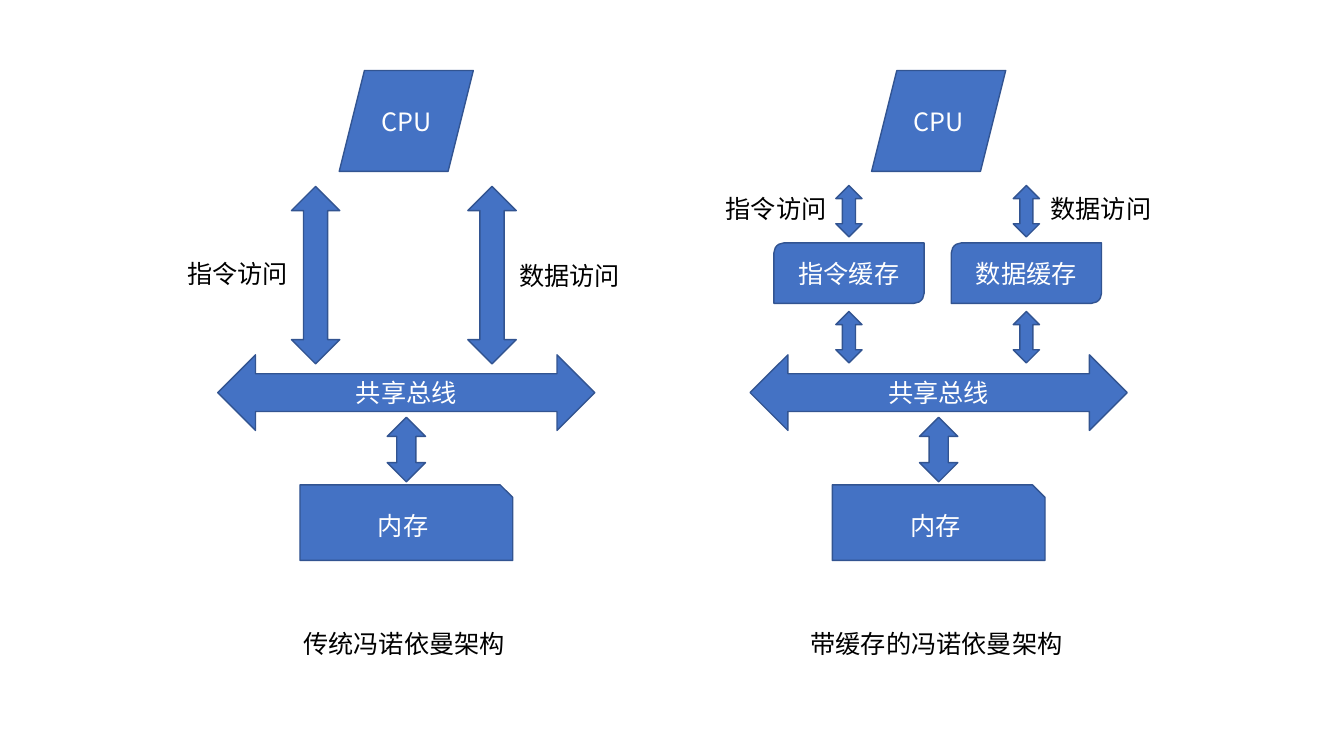
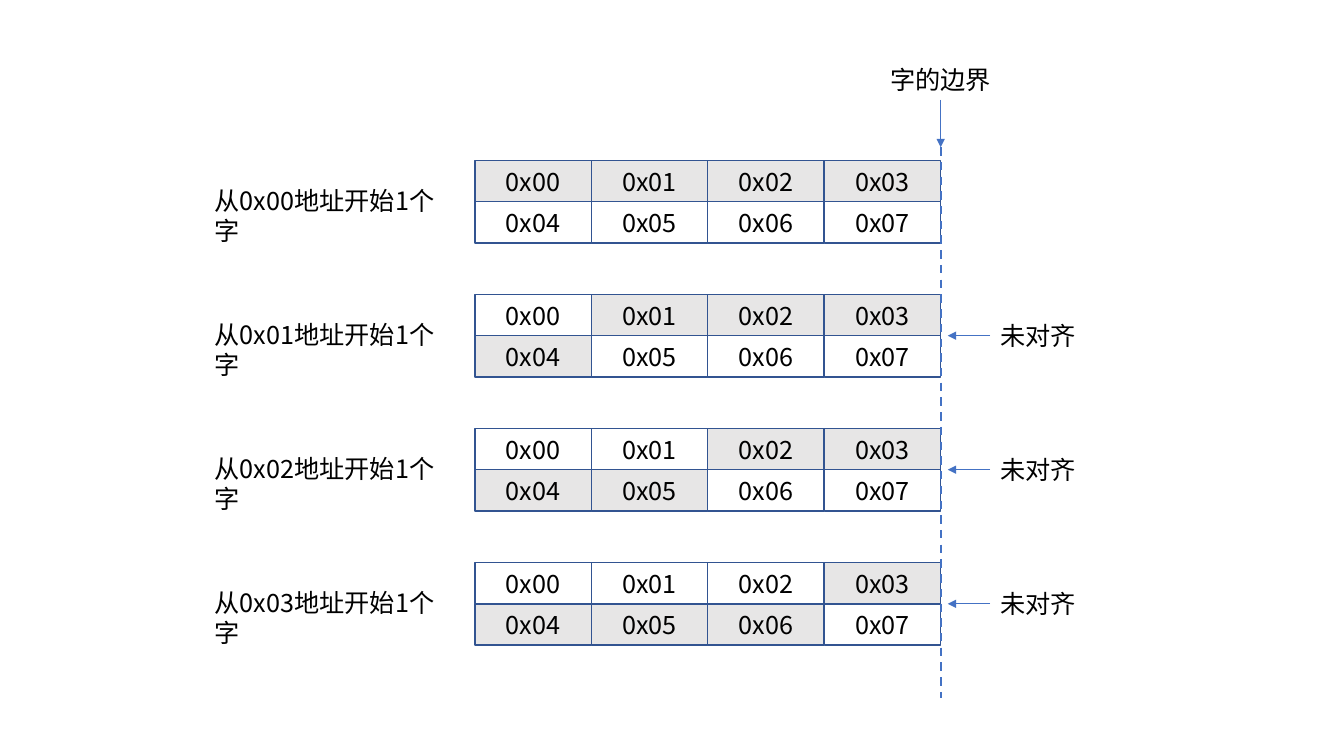
"""Build two slides: cached memory architecture and word alignment."""
from pptx import Presentation
from pptx import util as u
from pptx.dml import color as dml
from pptx.enum import dml as lines, shapes, text
from pptx.oxml import ns
from lxml import etree

SHAPE = shapes.MSO_SHAPE


def rgb(value):
    """Return the colour for a hex string."""
    return dml.RGBColor.from_string(value)


class Deck:
    """Holds the shared style and the current slide."""

    FONT, SIZE = "Noto Sans CJK SC", 18
    BLUE, EDGE, GREY = "4472C4", "325491", "E7E6E6"
    BLACK, WHITE = "000000", "FFFFFF"

    def __init__(self):
        """Start an empty widescreen presentation."""
        self.prs = Presentation()
        self.prs.slide_width = u.Inches(13.33)
        self.prs.slide_height = u.Inches(7.5)

    def new_slide(self):
        """Add a blank slide and make it current."""
        self.s = self.prs.slides.add_slide(self.prs.slide_layouts[6])

    def put_text(self, tf, words, color, align):
        """Put one formatted paragraph in a text frame."""
        tf.text = words
        p = tf.paragraphs[0]
        p.alignment = align
        r = p.runs[0]
        r.font.size, r.font.name = u.Pt(self.SIZE), self.FONT
        r.font.color.rgb = rgb(color)
        ea = etree.SubElement(r.font._element, ns.qn("a:ea"))
        ea.set("typeface", self.FONT)

    def shape(self, kind, x, y, w, h, words="", fill=BLUE, color=WHITE):
        """Add an outlined preset shape with centred text."""
        sp = self.s.shapes.add_shape(kind, *map(u.Inches, (x, y, w, h)))
        sp.shadow.inherit = False
        if fill:
            sp.fill.solid()
            sp.fill.fore_color.rgb = rgb(fill)
        else:
            sp.fill.background()
        sp.line.color.rgb = rgb(self.EDGE)
        sp.line.width = u.Pt(1)
        if words:
            sp.text_frame.vertical_anchor = text.MSO_ANCHOR.MIDDLE
            self.put_text(sp.text_frame, words, color, text.PP_ALIGN.CENTER)

    def centred(self, kind, cx, y, w, h, words=""):
        """Add a preset shape centred on a vertical axis."""
        self.shape(kind, cx - w / 2, y, w, h, words)

    def label(self, x, y, w, words, wrap=False):
        """Add a plain text label and return it."""
        sp = self.s.shapes.add_textbox(*map(u.Inches, (x, y, w, 0.4)))
        tf = sp.text_frame
        tf.word_wrap = wrap
        tf.auto_size = text.MSO_AUTO_SIZE.SHAPE_TO_FIT_TEXT
        self.put_text(tf, words, self.BLACK, text.PP_ALIGN.LEFT)
        return sp

    def line(self, x1, y1, x2, y2, width, dashed=False, arrow=False):
        """Add a straight line and return it."""
        sp = self.s.shapes.add_connector(
            shapes.MSO_CONNECTOR.STRAIGHT, *map(u.Inches, (x1, y1, x2, y2)))
        sp.line.color.rgb = rgb(self.BLUE)
        sp.line.width = u.Pt(width)
        if dashed:
            sp.line.dash_style = lines.MSO_LINE.DASH
        if arrow:
            tail = etree.SubElement(sp.get_or_add_ln(), ns.qn("a:tailEnd"))
            tail.set("type", "triangle")
        etree.SubElement(sp._element.spPr, ns.qn("a:effectLst"))
        return sp


def architecture(deck, cx, lanes, arrows, labels, caption):
    """Draw a CPU, a shared bus and memory on one axis."""
    deck.centred(SHAPE.PARALLELOGRAM, cx, 0.7, 1.33, 1, "CPU")
    deck.centred(SHAPE.LEFT_RIGHT_ARROW, cx, 3.52, 3.74, 0.75, "共享总线")
    deck.centred(SHAPE.SNIP_1_RECTANGLE, cx, 4.81, 2.11, 0.75, "内存")
    deck.centred(SHAPE.UP_DOWN_ARROW, cx, 4.14, 0.38, 0.64)
    for lane in lanes:
        for y, w, h in arrows:
            deck.centred(SHAPE.UP_DOWN_ARROW, lane, y, w, h)
    for words, (x, y) in zip(("指令访问", "数据访问"), labels):
        deck.label(x, y, 1.21, words)
    x, w, words = caption
    deck.label(x, 6.18, w, words)


def architecture_slide(deck):
    """Compare the architecture without and with caches."""
    deck.new_slide()
    architecture(deck, 4.03, (3.13, 4.88), [(1.85, 0.48, 1.76)],
                 [(1.76, 2.51), (5.05, 2.53)], (2.91, 2.22, "传统冯诺依曼架构"))
    lanes = 8.42, 10.18
    architecture(deck, 9.31, lanes, [(1.84, 0.26, 0.51), (3.09, 0.26, 0.51)],
                 [(7.1, 1.87), (10.32, 1.87)], (7.94, 2.73, "带缓存的冯诺依曼架构"))
    for lane, words in zip(lanes, ("指令缓存", "数据缓存")):
        deck.centred(SHAPE.ROUND_2_DIAG_RECTANGLE, lane, 2.41, 1.49, 0.6, words)


def alignment_slide(deck):
    """Show a four-byte word read from each starting address."""
    deck.new_slide()
    left, top, right, cell_h, pitch, word = 4.71, 1.59, 9.33, 0.41, 1.33, 4
    cell_w = (right - left) / word
    for start in range(word):
        y = top + start * pitch
        for address in range(2 * word):
            row, col = divmod(address, word)
            fill = deck.GREY if start <= address < start + word else None
            deck.shape(SHAPE.RECTANGLE, left + col * cell_w, y + row * cell_h,
                       cell_w, cell_h, f"0x{address:02}", fill, deck.BLACK)
        deck.label(2.03, y + 0.2, 2.61, f"从0x{start:02}地址开始1个字", wrap=True)
        if start:
            middle = y + cell_h
            note = deck.label(9.82, middle - 0.2, 0.96, "未对齐")
            arrow = deck.line(9.82, middle, 9.4, middle, 0.5, arrow=True)
            arrow.begin_connect(note, 1)
    deck.line(right, 1.46, right, 6.92, 1.5, dashed=True)
    heading = deck.label(right - 0.6, 0.59, 1.2, "字的边界")
    arrow = deck.line(right, 0.99, right, 1.46, 0.5, arrow=True)
    arrow.begin_connect(heading, 2)


def main():
    """Build and save the slides."""
    deck = Deck()
    architecture_slide(deck)
    alignment_slide(deck)
    deck.prs.save("out.pptx")


if __name__ == "__main__":
    main()
